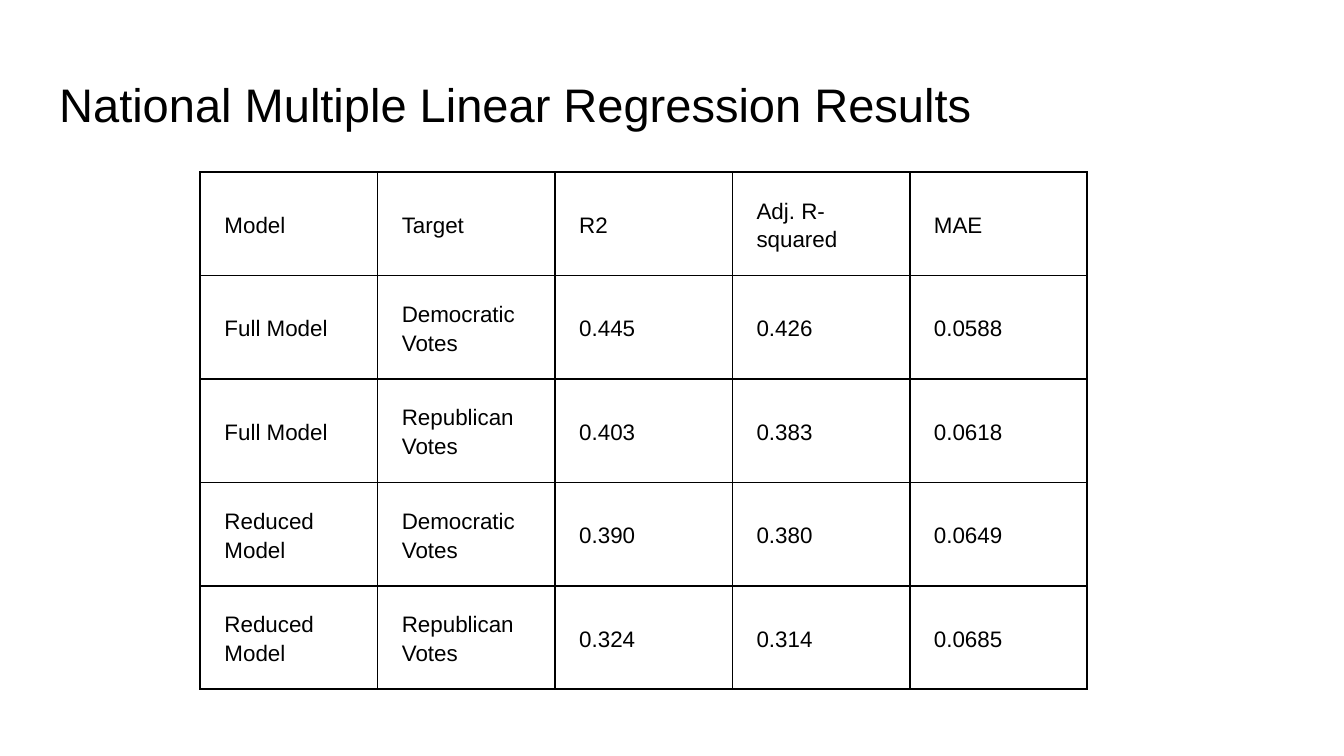
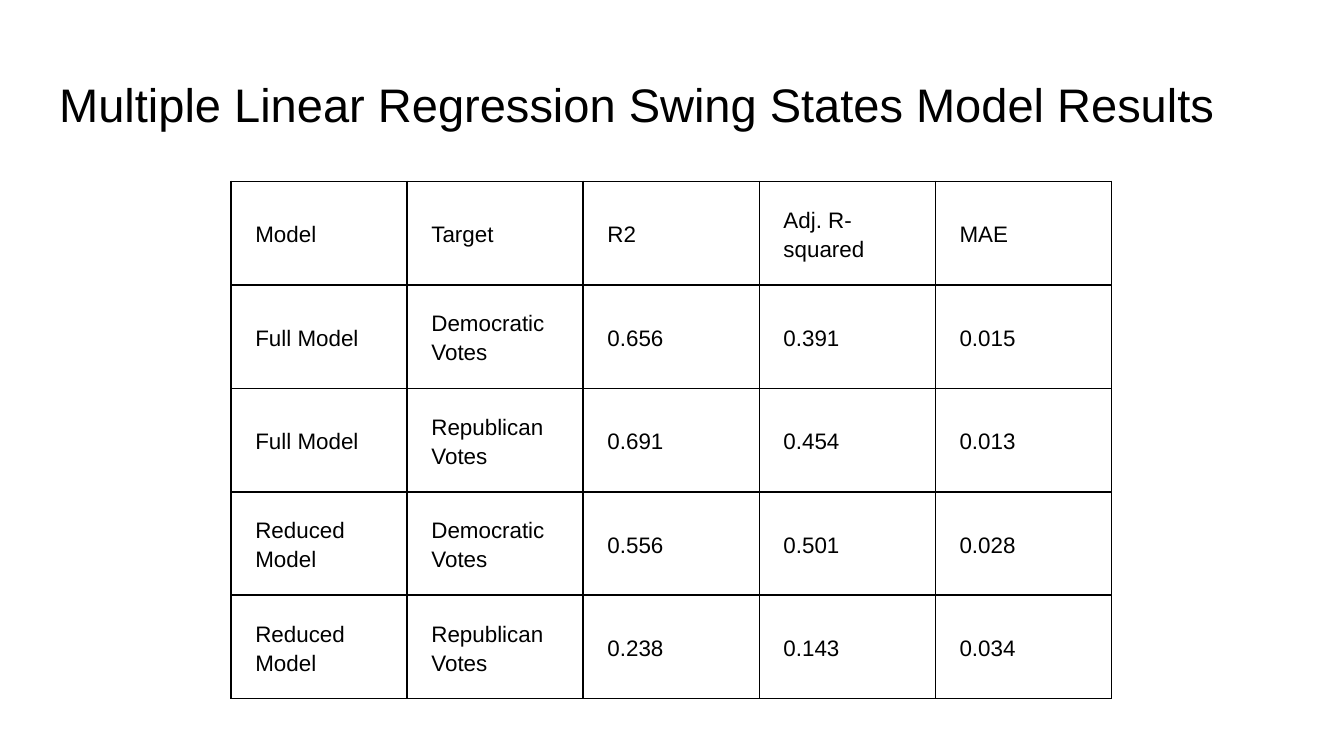
"""Build two slides of multiple linear regression results."""
from pptx import Presentation
from pptx.dml.color import RGBColor
from pptx.enum.text import MSO_ANCHOR, MSO_AUTO_SIZE, PP_ALIGN
from pptx.oxml import parse_xml
from pptx.oxml.ns import nsdecls
from pptx.util import Inches, Pt

BLACK = RGBColor(0x00, 0x00, 0x00)
WHITE = RGBColor(0xFF, 0xFF, 0xFF)
FONT = "Arial"
WIDTH = 10
HEIGHT = WIDTH * 9 / 16
TITLE_BOX = (0.34, 0.46, 9.32, 0.63)
ROW_HEIGHT = 0.77
INSET, INDENT = 0.1, 0.08

HEADER = ("Model", "Target", "R2", "Adj. R-squared", "MAE")
MODELS = ("Full Model", "Reduced Model")
TARGETS = ("Democratic Votes", "Republican Votes")
CASES = [(model, target) for model in MODELS for target in TARGETS]

SLIDES = [
    {
        "title": "National Multiple Linear Regression Results",
        "left": 1.49, "top": 1.28, "column": 1.32,
        "scores": [
            ("0.445", "0.426", "0.0588"),
            ("0.403", "0.383", "0.0618"),
            ("0.390", "0.380", "0.0649"),
            ("0.324", "0.314", "0.0685"),
        ],
    },
    {
        "title": "Multiple Linear Regression Swing States Model Results",
        "left": 1.72, "top": 1.35, "column": 1.31,
        "scores": [
            ("0.656", "0.391", "0.015"),
            ("0.691", "0.454", "0.013"),
            ("0.556", "0.501", "0.028"),
            ("0.238", "0.143", "0.034"),
        ],
    },
]


def set_text(tf, text, size, spacing=None, after=0, indent=0):
    tf.word_wrap = True
    p = tf.paragraphs[0]
    p.alignment = PP_ALIGN.LEFT
    p.line_spacing = spacing
    p.space_after = Pt(after)
    p._p.get_or_add_pPr().set("marL", str(Inches(indent)))
    r = p.add_run()
    r.text = text
    r.font.name, r.font.size = FONT, Pt(size)
    r.font.color.rgb = BLACK


def set_insets(box):
    box.margin_left = box.margin_right = Inches(INSET)
    box.margin_top = box.margin_bottom = Inches(INSET)


def set_borders(cell, color=BLACK, width=1):
    tc_pr = cell._tc.get_or_add_tcPr()
    for i, side in enumerate(("lnL", "lnR", "lnT", "lnB")):
        tc_pr.insert(i, parse_xml(
            f'<a:{side} {nsdecls("a")} w="{Pt(width)}"><a:solidFill>'
            f'<a:srgbClr val="{color}"/></a:solidFill></a:{side}>'))


def add_title(s, text):
    sp = s.shapes.title
    sp.left, sp.top, sp.width, sp.height = map(Inches, TITLE_BOX)
    tf = sp.text_frame
    tf.auto_size = MSO_AUTO_SIZE.NONE
    tf.vertical_anchor = MSO_ANCHOR.MIDDLE
    set_insets(tf)
    set_text(tf, text, 25.2)


def add_results(s, left, top, column, scores):
    rows = [HEADER] + [case + score for case, score in zip(CASES, scores)]
    size = (column * len(HEADER), ROW_HEIGHT * len(rows))
    table = s.shapes.add_table(len(rows), len(HEADER),
                               *map(Inches, (left, top, *size))).table
    table.first_row = table.horz_banding = False
    for col in table.columns:
        col.width = Inches(column)
    for i, row in enumerate(rows):
        table.rows[i].height = Inches(ROW_HEIGHT)
        for j, text in enumerate(row):
            cell = table.cell(i, j)
            cell.fill.solid()
            cell.fill.fore_color.rgb = WHITE
            cell.vertical_anchor = MSO_ANCHOR.MIDDLE
            set_insets(cell)
            set_borders(cell)
            set_text(cell.text_frame, text, 12, spacing=1.15, after=8, indent=INDENT)


def main():
    prs = Presentation()
    prs.slide_width, prs.slide_height = Inches(WIDTH), Inches(HEIGHT)
    for item in SLIDES:
        s = prs.slides.add_slide(prs.slide_layouts[5])
        add_title(s, item["title"])
        add_results(s, item["left"], item["top"], item["column"], item["scores"])
    prs.save("out.pptx")


if __name__ == "__main__":
    main()
